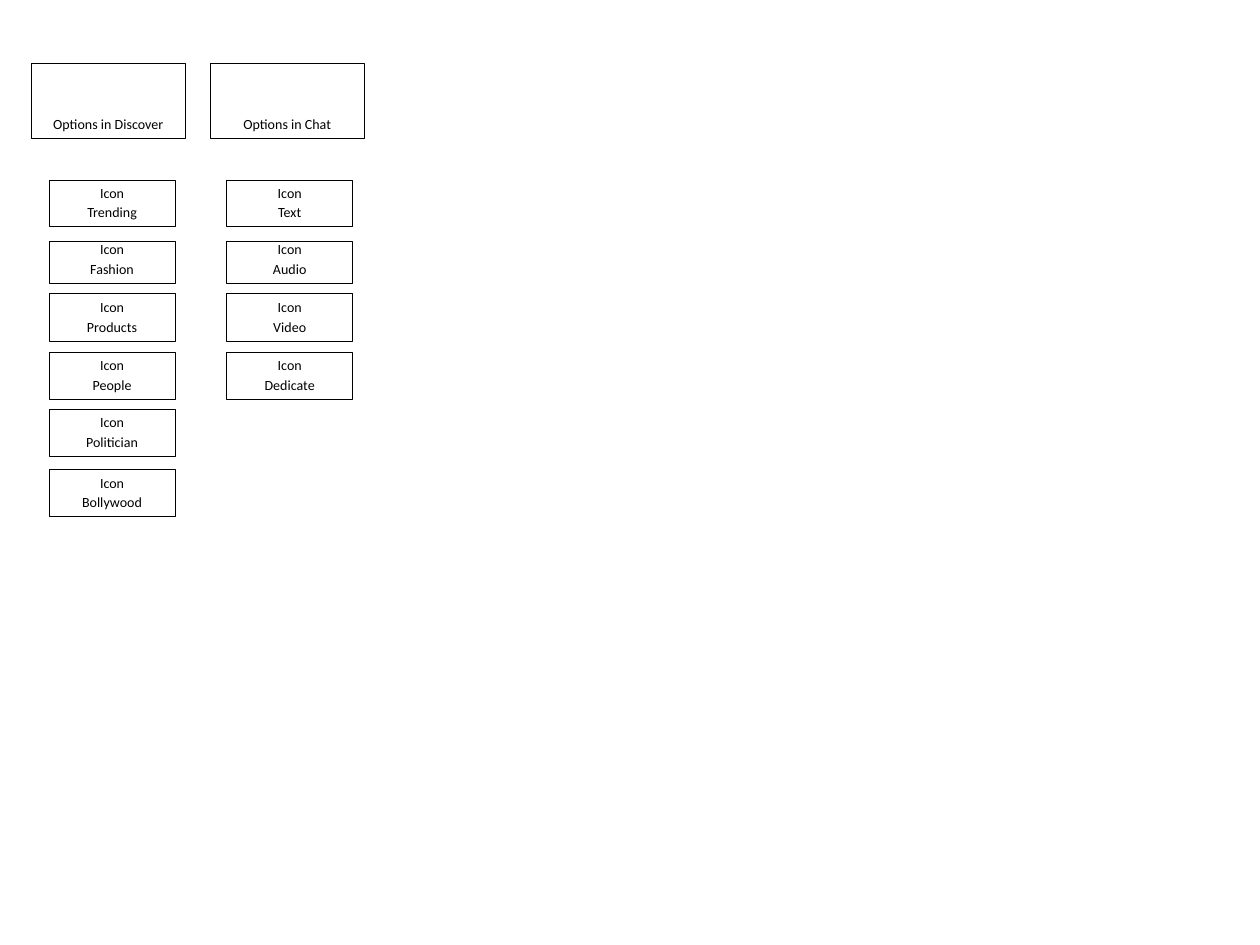
from dataclasses import dataclass

import pptx
import pptx.dml.color
import pptx.enum.shapes
import pptx.enum.text
import pptx.slide
import pptx.util

Inches = pptx.util.Inches
Pt = pptx.util.Pt


@dataclass(frozen=True)
class Theme:
    font: str = "Calibri"
    size: float = 8
    space_before: float = 1.6
    line_width: float = 0.5
    ink: pptx.dml.color.RGBColor = pptx.dml.color.RGBColor(0, 0, 0)


@dataclass(frozen=True)
class Row:
    top: float
    height: float


@dataclass(frozen=True)
class Menu:
    heading: str
    heading_left: float
    option_left: float
    options: tuple[str, ...]


THEME = Theme()
HEADING_WIDTH = 1.22
OPTION_WIDTH = 1.0
HEADING_ROW = Row(0.5, 0.6)
OPTION_ROWS = (
    Row(1.43, 0.37),
    Row(1.92, 0.33),
    Row(2.33, 0.38),
    Row(2.8, 0.37),
    Row(3.25, 0.37),
    Row(3.73, 0.37),
)
MENUS = (
    Menu("Options in Discover", 0.25, 0.39,
         ("Trending", "Fashion", "Products", "People", "Politician", "Bollywood")),
    Menu("Options in Chat", 1.67, 1.8,
         ("Text", "Audio", "Video", "Dedicate")),
)


def add_box(page: pptx.slide.Slide, left: float, row: Row, width: float, text: str) -> None:
    """Draw an outlined box with centred text resting on its bottom edge."""
    box = page.shapes.add_shape(
        pptx.enum.shapes.MSO_SHAPE.RECTANGLE,
        Inches(left), Inches(row.top), Inches(width), Inches(row.height),
    )
    box.shadow.inherit = False
    box.fill.background()
    box.line.color.rgb = THEME.ink
    box.line.width = Pt(THEME.line_width)

    frame = box.text_frame
    frame.word_wrap = True
    frame.vertical_anchor = pptx.enum.text.MSO_ANCHOR.BOTTOM
    frame.text = text
    for para in frame.paragraphs:
        para.alignment = pptx.enum.text.PP_ALIGN.CENTER
        para.space_before = Pt(THEME.space_before)
        for span in para.runs:
            span.font.name = THEME.font
            span.font.size = Pt(THEME.size)
            span.font.color.rgb = THEME.ink


def add_menu(page: pptx.slide.Slide, menu: Menu) -> None:
    """Draw a heading box with its options stacked below."""
    add_box(page, menu.heading_left, HEADING_ROW, HEADING_WIDTH, menu.heading)
    for row, option in zip(OPTION_ROWS, menu.options):
        add_box(page, menu.option_left, row, OPTION_WIDTH, f"Icon\n{option}")


def main() -> None:
    deck = pptx.Presentation()
    deck.slide_width = Inches(10)
    deck.slide_height = Inches(7.5)

    # Blank layout: the page holds only the two menus
    page = deck.slides.add_slide(deck.slide_layouts[6])
    for menu in MENUS:
        add_menu(page, menu)

    deck.save("out.pptx")


if __name__ == "__main__":
    main()
